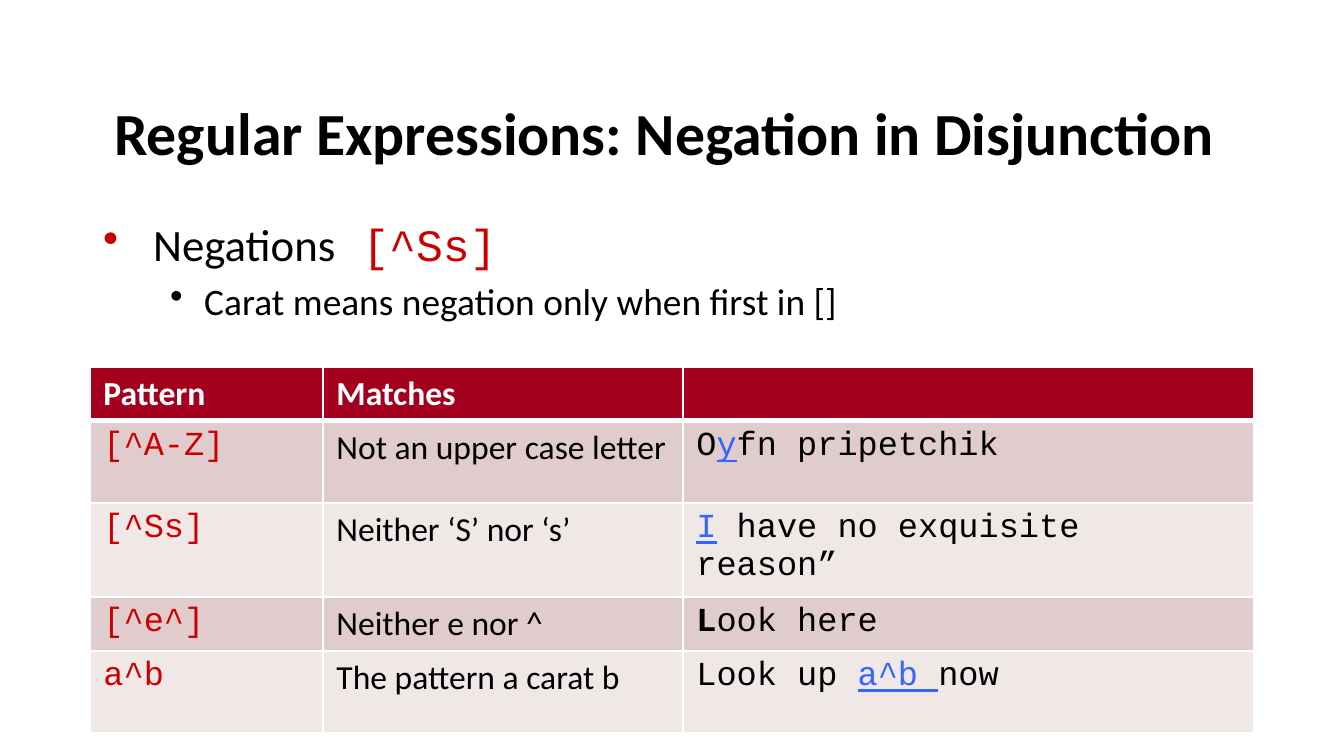
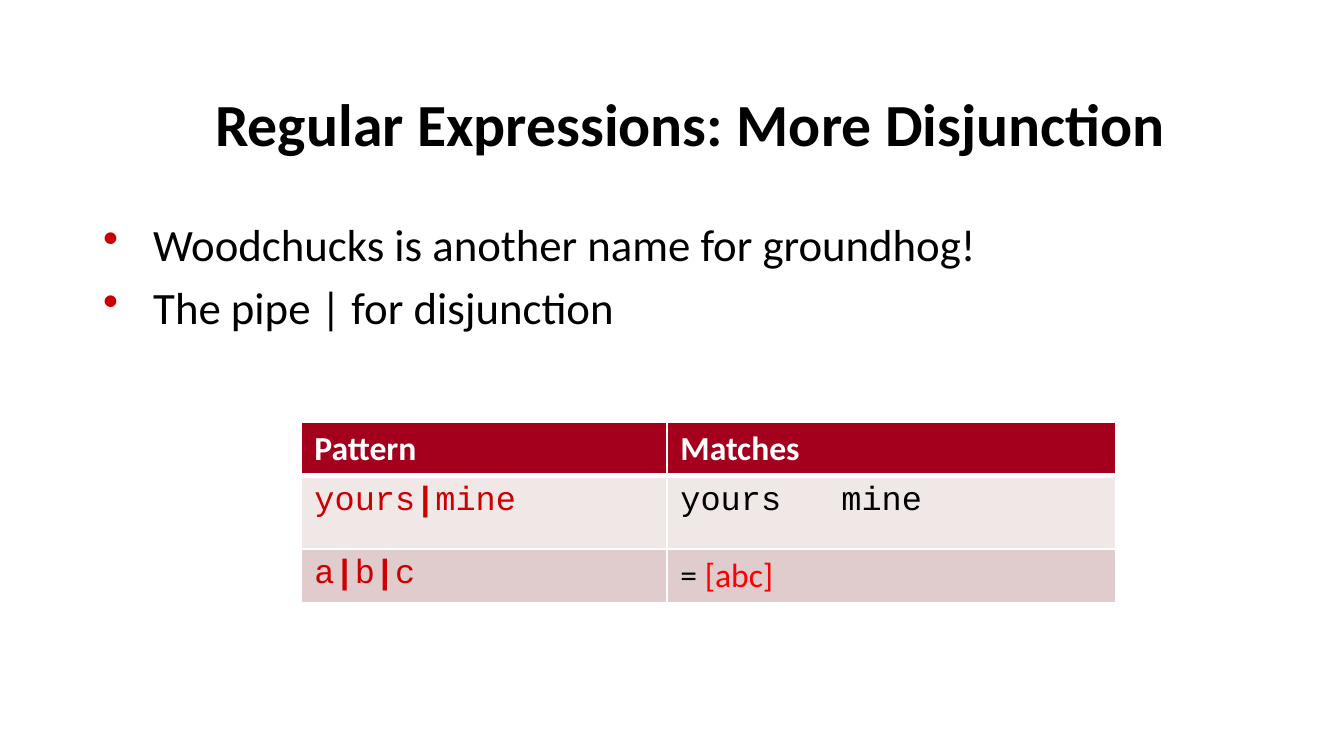
"""Build two slides about negation and disjunction in regular expressions."""
from lxml import etree
from pptx import Presentation
from pptx import util as u
from pptx.dml import color as dml
from pptx.enum import text as t
from pptx.oxml import ns

EMU_PER_PX = 914400 / 134.4
COLORS = {
    "ink": "000000",
    "white": "FFFFFF",
    "pattern": "CC0000",
    "match": "3366FF",
    "set": "FF0000",
    "header": "A4001D",
    "dark_band": "E0CCCC",
    "light_band": "F0E7E7",
}
BODY, CODE = "Calibri", "Courier New"
PATTERN = {"font": CODE, "color": "pattern"}
PIPE = ("|", {**PATTERN, "bold": True})
EXAMPLE = {"font": CODE}
MATCH = {"font": CODE, "color": "match", "underline": True}
HAIRLINE, HEADER_RULE = 0.96, 3


def px(length):
    """Turn px into EMU."""
    return u.Emu(round(length * EMU_PER_PX))


def rgb(name):
    """Look up a colour by name."""
    return dml.RGBColor.from_string(COLORS[name])


def child(parent, tag, **attributes):
    """Append a DrawingML element to its parent."""
    return etree.SubElement(parent, ns.qn(tag), {k: str(v) for k, v in attributes.items()})


def write(paragraph, content, *, size, font=BODY, color="ink", bold=False, underline=False):
    """Add one formatted run to a paragraph."""
    run = paragraph.add_run()
    run.text = content
    run.font.size = u.Pt(size)
    run.font.name = font
    run.font.bold = bold
    run.font.underline = underline
    run.font.color.rgb = rgb(color)


def write_all(paragraph, runs, size):
    """Write a sequence of (text, format) runs at one size."""
    for content, style in runs:
        write(paragraph, content, size=size, **style)


def add_frame(slide, left, top, width, height, anchor=t.MSO_ANCHOR.TOP):
    """Add a wrapping text frame."""
    frame = slide.shapes.add_textbox(px(left), px(top), px(width), px(height)).text_frame
    frame.word_wrap = True
    frame.vertical_anchor = anchor
    return frame


def add_title(slide, left, top, title):
    """Add the slide heading."""
    frame = add_frame(slide, left, top, 1142, 109, t.MSO_ANCHOR.BOTTOM)
    write(frame.paragraphs[0], title, size=32, bold=True)


def add_bullets(slide, height, items):
    """Add bullets given as (level, space before, runs)."""
    frame = add_frame(slide, 90, 210, 1120, height)
    levels = [(24, 50, 50, "pattern"), (20, 101, 34, "ink")]
    for index, (level, space, runs) in enumerate(items):
        paragraph = frame.add_paragraph() if index else frame.paragraphs[0]
        size, margin, hanging, bullet_color = levels[level]
        paragraph.level = level
        paragraph.space_before = u.Pt(space)
        properties = paragraph._p.get_or_add_pPr()
        properties.set("marL", str(px(margin)))
        properties.set("indent", str(-px(hanging)))
        child(child(properties, "a:buClr"), "a:srgbClr", val=COLORS[bullet_color])
        child(properties, "a:buChar", char="•")
        write_all(paragraph, runs, size)


def set_borders(cell, top, bottom):
    """Draw white borders with the given top and bottom weights."""
    properties = cell._tc.get_or_add_tcPr()
    weights = {"a:lnL": HAIRLINE, "a:lnR": HAIRLINE, "a:lnT": top, "a:lnB": bottom}
    for index, (tag, weight) in enumerate(weights.items()):
        line = child(properties, tag, w=u.Pt(weight))
        child(child(line, "a:solidFill"), "a:srgbClr", val=COLORS["white"])
        properties.insert(index, line)


def add_pattern_table(slide, left, top, widths, heights, headings, rows, bands):
    """Add a table of patterns and matches with alternating bands."""
    frame = slide.shapes.add_table(
        len(heights), len(widths), px(left), px(top), px(sum(widths)), px(sum(heights)))
    table = frame.table
    for column, width in zip(table.columns, widths):
        column.width = px(width)
    for row, height in zip(table.rows, heights):
        row.height = px(height)
    heading_style = {"color": "white", "bold": True}
    header = [[(heading, heading_style)] if heading else [] for heading in headings]
    for r, cells in enumerate([header, *rows]):
        for c, runs in enumerate(cells):
            cell = table.cell(r, c)
            cell.fill.solid()
            cell.fill.fore_color.rgb = rgb(bands[(r - 1) % 2] if r else "header")
            set_borders(cell, HEADER_RULE if r == 1 else HAIRLINE,
                        HAIRLINE if r else HEADER_RULE)
            write_all(cell.text_frame.paragraphs[0], runs, 18)
    return table


def add_tab_stop(paragraph, position):
    """Set a left tab stop in a paragraph."""
    stops = child(paragraph._p.get_or_add_pPr(), "a:tabLst")
    child(stops, "a:tab", pos=px(position), algn="l")


def build_negation(slide):
    """Build the slide on negation."""
    add_title(slide, 101, 65, "Regular Expressions: Negation in Disjunction")
    add_bullets(slide, 508, [
        (0, 0, [("Negations", {}), (" [^Ss]", PATTERN)]),
        (1, 4, [("Carat means negation only when first in []", {})]),
    ])
    entries = [
        ("[^A-Z]", "Not an upper case letter",
         [("O", EXAMPLE), ("y", MATCH), ("fn pripetchik", EXAMPLE)]),
        ("[^Ss]", "Neither ‘S’ nor ‘s’",
         [("I", MATCH), (" have no exquisite reason”", EXAMPLE)]),
        ("[^e^]", "Neither e nor ^",
         [("L", {**EXAMPLE, "bold": True}), ("ook here", EXAMPLE)]),
        ("a^b", "The pattern a carat b",
         [("Look up ", EXAMPLE), ("a^b ", MATCH), ("now", EXAMPLE)]),
    ]
    rows = [[[(pattern, PATTERN)], [(meaning, {})], example]
            for pattern, meaning, example in entries]
    add_pattern_table(slide, 90, 367, [233, 360, 571], [48, 82, 48, 48, 82],
                      ["Pattern", "Matches", ""], rows, ["dark_band", "light_band"])


def build_disjunction(slide):
    """Build the slide on the pipe."""
    add_title(slide, 202, 56, "Regular Expressions: More Disjunction")
    add_bullets(slide, 469, [
        (0, 0, [("Woodchucks is another name for groundhog!", {})]),
        (0, 5, [("The pipe | for disjunction", {})]),
    ])
    rows = [
        [[("yours", PATTERN), PIPE, ("mine", PATTERN)], [("yours\tmine", EXAMPLE)]],
        [[("a", PATTERN), PIPE, ("b", PATTERN), PIPE, ("c", PATTERN)],
         [("= ", {}), ("[abc]", {"color": "set"})]],
    ]
    table = add_pattern_table(slide, 301, 422, [366, 449], [42, 73, 42],
                              ["Pattern", "Matches"], rows, ["light_band", "dark_band"])
    add_tab_stop(table.cell(1, 1).text_frame.paragraphs[0], 161)


def main():
    """Build and save the presentation."""
    deck = Presentation()
    deck.slide_width, deck.slide_height = px(1344), px(756)
    for build in (build_negation, build_disjunction):
        build(deck.slides.add_slide(deck.slide_layouts[6]))
    deck.save("out.pptx")


if __name__ == "__main__":
    main()
